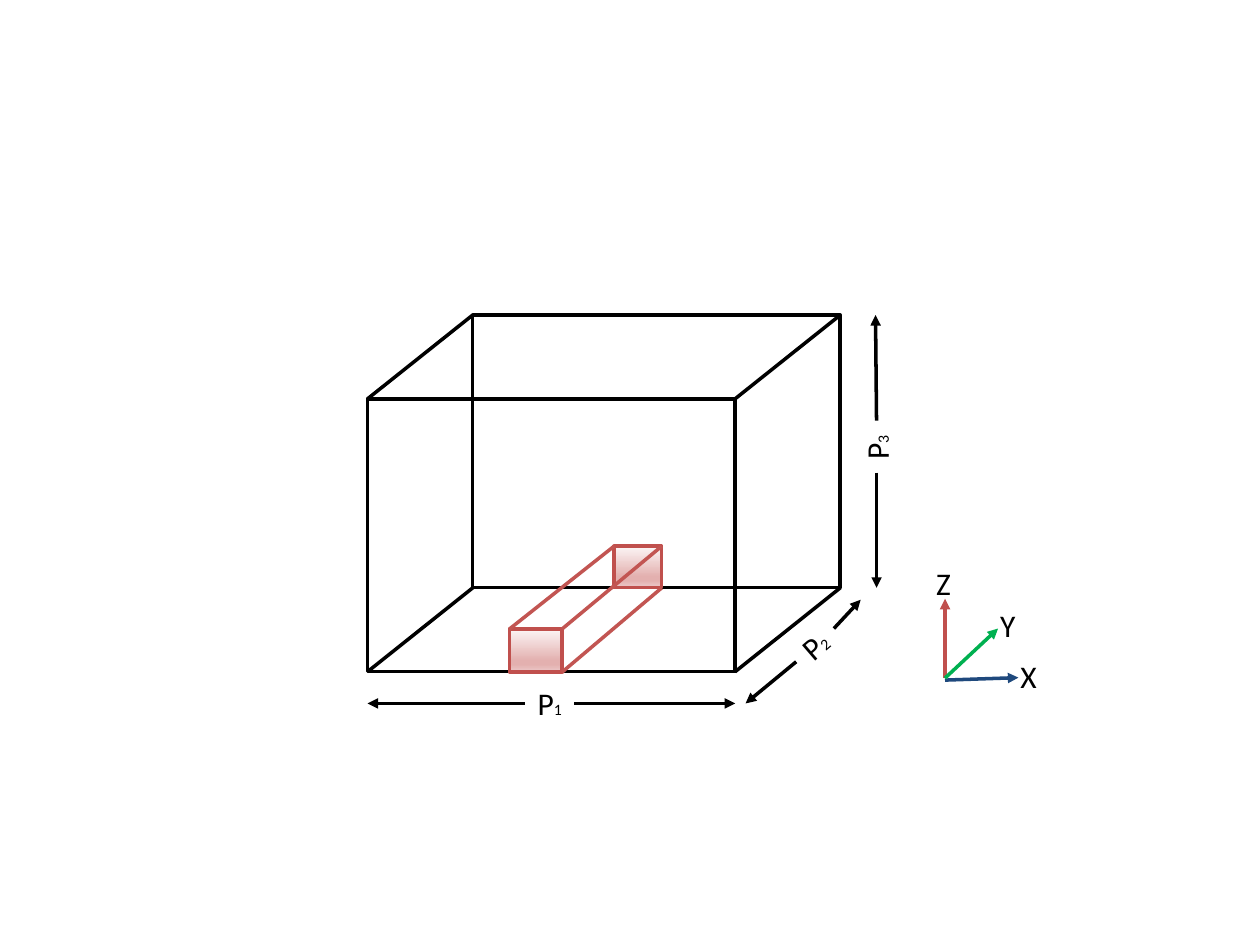
from copy import deepcopy

from lxml.etree import SubElement
from pptx import Presentation
from pptx.dml.color import RGBColor
from pptx.enum.shapes import MSO_CONNECTOR as CONNECTOR, MSO_SHAPE as SHAPE
from pptx.enum.text import MSO_AUTO_SIZE as AUTO_SIZE
from pptx.oxml.ns import qn
from pptx.util import Cm, Pt

COLORS = {
    "black": "000000",
    "red": "C0504D",
    "edge": "C25552",
    "blue": "1F497D",
    "green": "00B050",
}
GRADIENT = [(0, "FCF6F6"), (74, "E3B0AF"), (83, "E3B0AF"), (100, "ECCACA")]
LINE_WIDTH = Pt(2)

# Faces are left, top, width, height in cm.
BOX_FRONT = (7.41, 8.04, 7.41, 5.5)
BOX_BACK = (9.53, 6.35, 7.41, 5.5)
BAR_FRONT = (10.27, 12.68, 1.06, 0.87)
BAR_BACK = (12.38, 11.01, 0.96, 0.84)

# Each dimension arrow runs outward from its label.
DIMENSION_ARROWS = [
    ((10.58, 14.18), (7.41, 14.18)),
    ((11.58, 14.18), (14.82, 14.18)),
    ((16.05, 13.34), (15.03, 14.18)),
    ((16.81, 12.67), (17.35, 12.09)),
    ((17.67, 8.48), (17.65, 6.35)),
    ((17.67, 9.53), (17.67, 11.85)),
]
DIMENSION_LABELS = [
    ("1", (10.59, 13.67, 0.99), 0),
    ("2", (15.93, 12.49, 0.99), 319.3),
    ("3", (17.15, 8.48, 1.04), 270),
]
AXES = [
    ("red", (19.05, 13.67), (19.05, 12.07)),
    ("blue", (19.05, 13.71), (20.53, 13.66)),
    ("green", (19.05, 13.67), (20.12, 12.67)),
]
AXIS_LABELS = [
    ("X", (20.32, 13.13, 0.84)),
    ("Y", (19.91, 12.09, 0.81)),
    ("Z", (18.62, 11.25, 0.81)),
]


def rgb(name):
    return RGBColor.from_string(COLORS[name])


def style_line(line, color):
    line.color.rgb = rgb(color)
    line.width = LINE_WIDTH


def fill_gradient(fill):
    """Fill from top to bottom with the stops of GRADIENT."""
    fill.gradient()
    fill.gradient_angle = 270
    stop_list = fill._xPr.find(qn("a:gradFill")).find(qn("a:gsLst"))
    while len(stop_list) < len(GRADIENT):
        stop_list.append(deepcopy(stop_list[0]))
    for stop, (percent, color) in zip(fill.gradient_stops, GRADIENT):
        stop.position = percent / 100
        stop.color.rgb = RGBColor.from_string(color)


def add_face(page, face, color, shaded=False):
    shape = page.shapes.add_shape(SHAPE.RECTANGLE, *map(Cm, face))
    shape.shadow.inherit = False
    style_line(shape.line, color)
    if shaded:
        fill_gradient(shape.fill)
    else:
        shape.fill.background()


def add_line(page, start, end, color, arrow=False):
    line = page.shapes.add_connector(CONNECTOR.STRAIGHT, *map(Cm, start + end))
    style_line(line.line, color)
    if arrow:
        SubElement(line.line._get_or_add_ln(), qn("a:tailEnd"), type="triangle")
    SubElement(line._element.spPr, qn("a:effectLst"))


def add_label(page, place, text, index="", size=18, index_size=9, rotation=0, color="black"):
    """Write a letter, followed by a small index if there is one."""
    left, top, width = place
    box = page.shapes.add_textbox(Cm(left), Cm(top), Cm(width), Cm(1.02))
    box.rotation = rotation
    frame = box.text_frame
    frame.word_wrap = False
    frame.auto_size = AUTO_SIZE.SHAPE_TO_FIT_TEXT
    para = frame.paragraphs[0]
    for part, points in ((text, size), (index, index_size)):
        if part:
            span = para.add_run()
            span.text = part
            span.font.name = "Calibri"
            span.font.size = Pt(points)
            span.font.color.rgb = rgb(color)


def corners(face):
    """Return top left, top right, bottom left and bottom right."""
    left, top, width, height = face
    return [(x, y) for y in (top, top + height) for x in (left, left + width)]


def add_edges(page, front, back, color, count=4):
    """Join the last `count` corners of two faces."""
    pairs = list(zip(corners(front), corners(back)))
    for start, end in pairs[:count]:
        add_line(page, start, end, color)


def add_outer_box(page):
    add_face(page, BOX_BACK, "black")
    add_face(page, BOX_FRONT, "black")
    add_edges(page, BOX_FRONT, BOX_BACK, "black")


def add_bar(page):
    """Draw the red bar; its bottom left edge is hidden."""
    add_face(page, BAR_FRONT, "red", shaded=True)
    add_face(page, BAR_BACK, "red", shaded=True)
    for number, (start, end) in enumerate(zip(corners(BAR_FRONT), corners(BAR_BACK))):
        if number != 2:
            add_line(page, start, end, "edge")


def add_dimensions(page):
    for start, end in DIMENSION_ARROWS:
        add_line(page, start, end, "black", arrow=True)
    for index, place, rotation in DIMENSION_LABELS:
        add_label(page, place, "P", index=index, rotation=rotation)


def add_axes(page):
    for color, start, end in AXES:
        add_line(page, start, end, color, arrow=True)
    for name, place in AXIS_LABELS:
        add_label(page, place, name)


def main():
    deck = Presentation()
    deck.slide_width, deck.slide_height = Cm(25.4), Cm(19.05)
    page = deck.slides.add_slide(deck.slide_layouts[6])
    add_outer_box(page)
    add_dimensions(page)
    add_axes(page)
    add_bar(page)
    deck.save("out.pptx")


if __name__ == "__main__":
    main()
